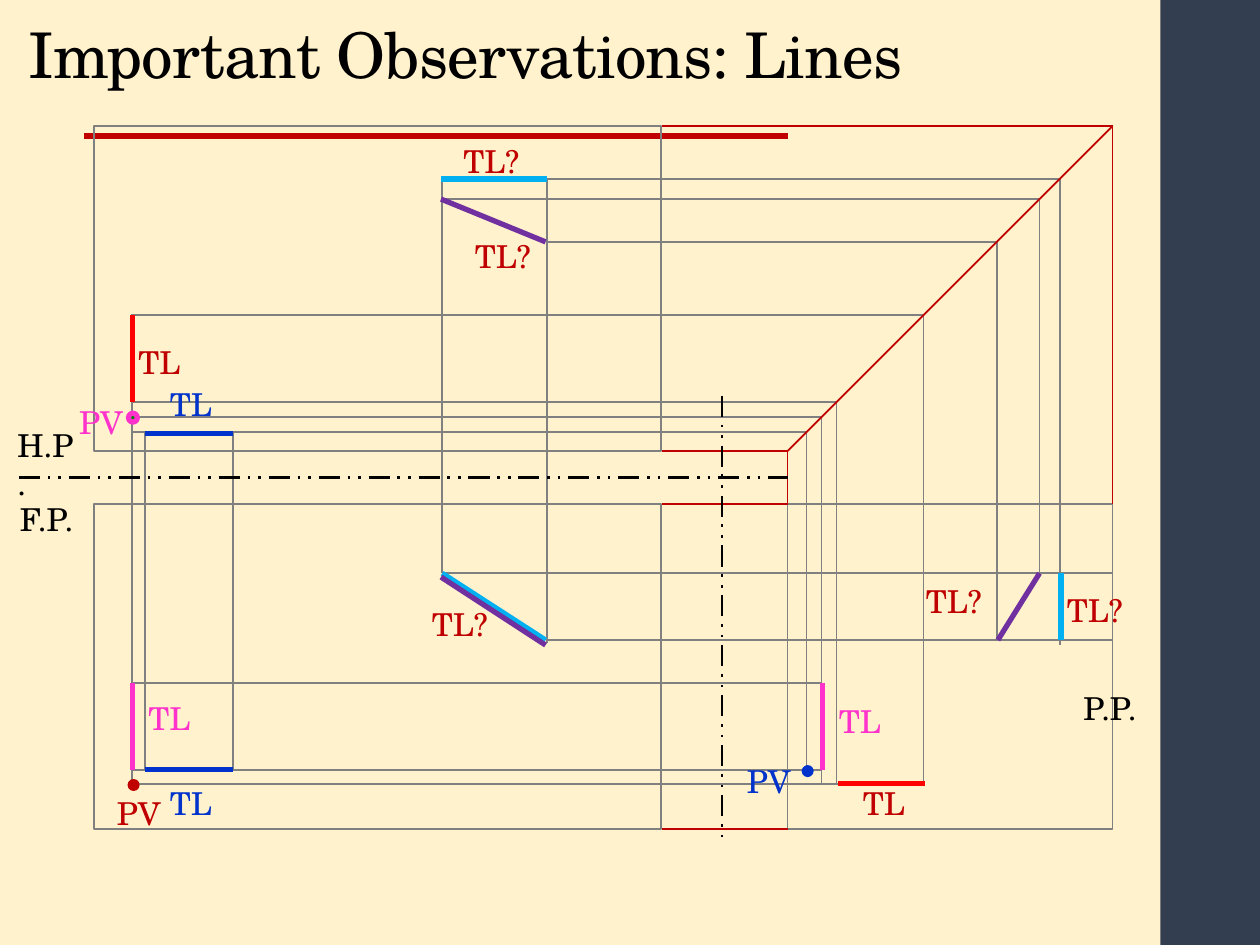
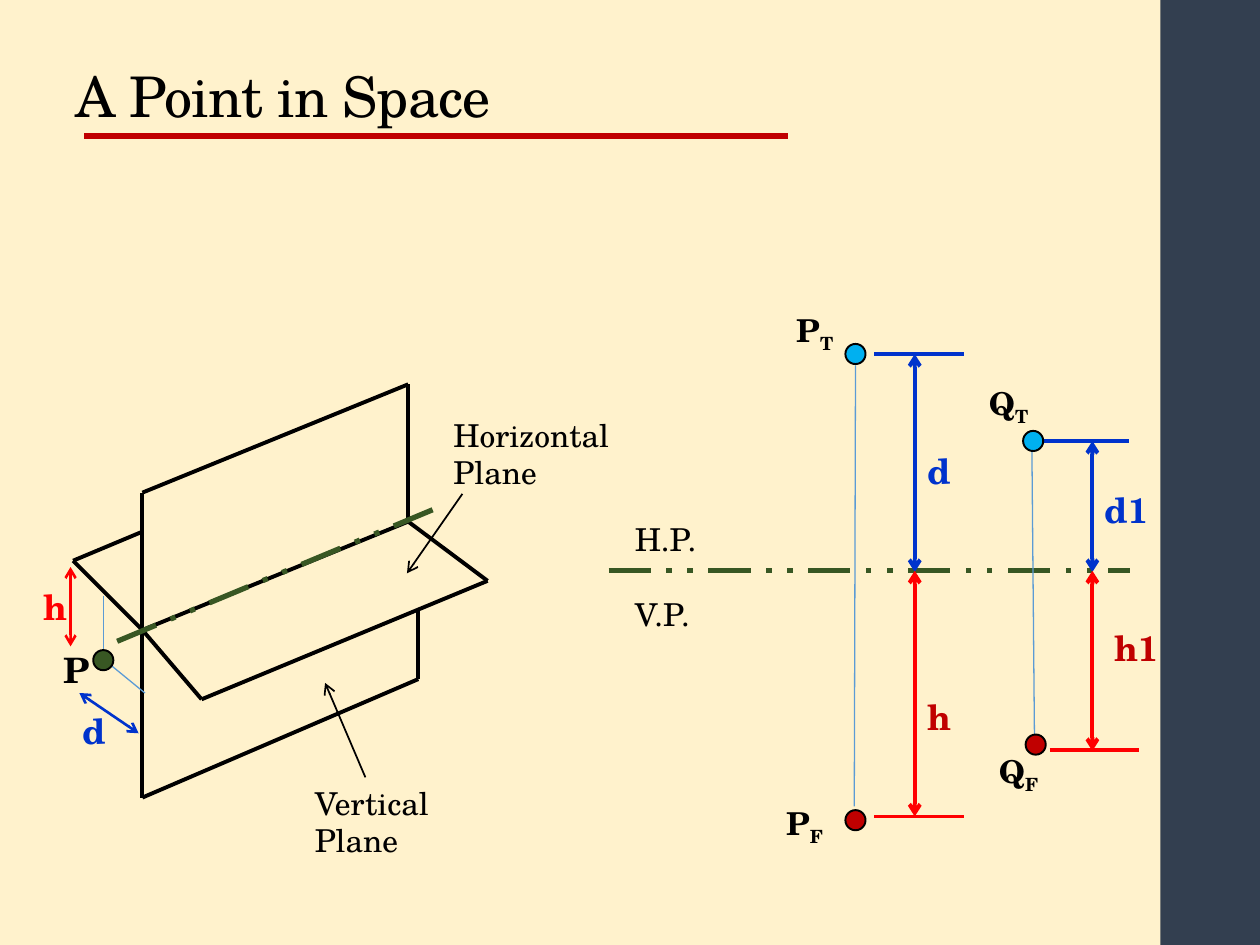
from lxml import etree
from pptx import Presentation
from pptx.dml.color import RGBColor
from pptx.enum.dml import MSO_LINE
from pptx.enum.shapes import MSO_CONNECTOR, MSO_SHAPE
from pptx.enum.text import MSO_ANCHOR, MSO_AUTO_SIZE
from pptx.oxml.ns import qn
from pptx.util import Inches, Pt

CREAM = RGBColor(0xFF, 0xF2, 0xCC)
SLATE = RGBColor(0x33, 0x3F, 0x50)
MAROON = RGBColor(0xC0, 0x00, 0x00)
RED = RGBColor(0xFF, 0x00, 0x00)
GRAY = RGBColor(0x80, 0x80, 0x80)
BLACK = RGBColor(0x00, 0x00, 0x00)
BLUE = RGBColor(0x00, 0x33, 0xCC)
SKY = RGBColor(0x00, 0xB0, 0xF0)
STEEL = RGBColor(0x5B, 0x9B, 0xD5)
PINK = RGBColor(0xFF, 0x33, 0xCC)
PURPLE = RGBColor(0x70, 0x30, 0xA0)
GREEN = RGBColor(0x00, 0x80, 0x00)
FOREST = RGBColor(0x38, 0x57, 0x23)

FONT = "TeX Gyre Schola"
STRAIGHT = MSO_CONNECTOR.STRAIGHT
RECT = MSO_SHAPE.RECTANGLE
OVAL = MSO_SHAPE.OVAL
POINT = MSO_SHAPE.FLOWCHART_CONNECTOR
DASH = MSO_LINE.DASH_DOT_DOT
BOTTOM = MSO_ANCHOR.BOTTOM
GROW = MSO_AUTO_SIZE.SHAPE_TO_FIT_TEXT
FIXED = MSO_AUTO_SIZE.NONE


class Deck:
    def __init__(self):
        self.file = Presentation()
        self.file.slide_width = Inches(10)
        self.file.slide_height = Inches(7.5)
        self.slide = None

    def page(self):
        self.slide = self.file.slides.add_slide(self.file.slide_layouts[6])
        fill = self.slide.background.fill
        fill.solid()
        fill.fore_color.rgb = CREAM
        self.shape(RECT, 9.21, 0, 0.8, 7.5, fill=SLATE)
        self.line(0.67, 1.08, 6.25, 1.08, MAROON, 3)

    def shape(self, kind, left, top, width, height, fill=None, edge=None, weight=1.1):
        item = self.slide.shapes.add_shape(
            kind, Inches(left), Inches(top), Inches(width), Inches(height))
        item.shadow.inherit = False
        if fill is None:
            item.fill.background()
        else:
            item.fill.solid()
            item.fill.fore_color.rgb = fill
        if edge is None:
            item.line.fill.background()
        else:
            item.line.color.rgb = edge
            item.line.width = Pt(weight)

    def line(self, x1, y1, x2, y2, color, weight=1, dash=None, ends=()):
        item = self.slide.shapes.add_connector(
            STRAIGHT, Inches(x1), Inches(y1), Inches(x2), Inches(y2))
        item.line.color.rgb = color
        item.line.width = Pt(weight)
        if dash is not None:
            item.line.dash_style = dash
        props = item._element.spPr
        for end in ends:
            etree.SubElement(props.find(qn("a:ln")), qn("a:" + end), type="arrow")
        etree.SubElement(props, qn("a:effectLst"))

    def arrow(self, x1, y1, x2, y2, color, weight):
        self.line(x1, y1, x2, y2, color, weight, ends=("headEnd", "tailEnd"))

    def text(self, words, left, top, width, color=BLACK, size=18, bold=False,
             height=0.4, sub=None):
        box = self.slide.shapes.add_textbox(
            Inches(left), Inches(top), Inches(width), Inches(height))
        frame = box.text_frame
        frame.word_wrap = True
        frame.auto_size = GROW
        frame.text = words
        para = frame.paragraphs[0]
        if sub:
            low = para.add_run()
            low.text = sub
            low._r.get_or_add_rPr().set("baseline", "-25000")
        for run in para.runs:
            run.font.name = FONT
            run.font.size = Pt(size)
            run.font.bold = bold
            run.font.color.rgb = color
        return frame

    def title(self, words, left, top, width, height, size):
        frame = self.text(words, left, top, width, size=size, height=height)
        frame.auto_size = FIXED
        frame.vertical_anchor = BOTTOM
        para = frame.paragraphs[0]
        para.line_spacing = 0.9
        para.runs[0]._r.get_or_add_rPr().set("spc", "-50")


def draw_lines(deck):
    deck.page()
    left, mid, fold, right = 0.75, 5.25, 6.25, 8.83
    top, side = 1, 2.58
    base, front = top + side, 4

    for y, start, end in [(1.42, 4.33, 5.12), (1.58, 3.51, 4.55), (1.92, 4.33, 5.08),
                          (2.5, 1.04, 6.22), (3.19, 1.04, 6.22), (3.31, 1.05, 6.22),
                          (3.43, 1.05, 6.11)]:
        turn = fold + base - y
        deck.line(start, y, turn, y, GRAY)
        deck.line(turn, y, turn, end, GRAY)
    for x, start, end in [(3.51, 1.42, 4.55), (4.34, 1.42, 5.1), (1.05, 3.19, 6.22),
                          (1.15, 3.43, 6.11), (1.85, 3.44, 6.11)]:
        deck.line(x, start, x, end, GRAY)
    for y, start, end in [(4.55, 3.51, right), (5.08, 4.33, right), (5.42, 1.04, 6.52),
                          (6.11, 1.04, 6.52), (6.22, 1.06, 6.65)]:
        deck.line(start, y, end, y, GRAY)

    for x, y, width in [(left, front, mid - left), (left, top, mid - left),
                        (fold, front, side)]:
        deck.shape(RECT, x, y, width, side, edge=GRAY)
    for y, end in [(top, right), (base, fold), (front, fold), (front + side, fold)]:
        deck.line(mid, y, end, y, MAROON)
    deck.line(fold, base, fold, front, MAROON)
    deck.line(right, top, right, front, MAROON)
    deck.line(right, top, fold, base, MAROON)
    deck.line(0.15, 3.79, fold, 3.79, BLACK, 1.5, DASH)
    deck.line(5.73, 3.14, 5.73, 6.64, BLACK, 1.5, DASH)

    for x1, y1, x2, y2, color in [
        (1.05, 2.5, 1.05, 3.19, RED), (7.34, 6.22, 6.65, 6.22, RED),
        (1.05, 5.42, 1.05, 6.11, PINK), (6.53, 6.11, 6.53, 5.42, PINK),
        (1.85, 6.11, 1.15, 6.11, BLUE), (1.85, 3.44, 1.15, 3.44, BLUE),
        (4.33, 5.08, 3.51, 4.55, SKY), (4.34, 1.42, 3.5, 1.42, SKY),
        (8.42, 5.08, 8.42, 4.55, SKY), (4.33, 1.92, 3.5, 1.58, PURPLE),
        (7.92, 5.08, 8.25, 4.55, PURPLE), (4.33, 5.12, 3.5, 4.58, PURPLE),
    ]:
        deck.line(x1, y1, x2, y2, color, 3)
    deck.shape(OVAL, 1.02, 6.19, 0.08, 0.08, MAROON, MAROON)
    deck.shape(OVAL, 6.37, 6.08, 0.08, 0.08, BLUE, BLUE)
    deck.shape(OVAL, 1.02, 3.28, 0.07, 0.07, GREEN, PINK, 3)

    deck.title("Important Observations: Lines", 0.13, 0.11, 9.75, 0.67, 36)
    for words, x, y, color in [
        ("TL", 1, 2.67, MAROON), ("TL", 1.08, 5.5, PINK), ("TL", 1.25, 6.17, BLUE),
        ("TL", 1.25, 3.01, BLUE), ("TL", 6.56, 5.52, PINK), ("TL", 6.75, 6.17, MAROON),
        ("PV", 0.83, 6.25, MAROON), ("PV", 0.53, 3.15, PINK), ("PV", 5.83, 6, BLUE),
    ]:
        deck.text(words, x, y, 0.58, color)
    for x, y in [(3.33, 4.75), (3.58, 1.08), (8.37, 4.64), (3.67, 1.83), (7.25, 4.57)]:
        deck.text("TL?", x, y, 0.8, MAROON)
    for words, x, y, width in [("H.P.", 0.04, 3.33, 0.67), ("F.P.", 0.06, 3.92, 1.28),
                               ("P.P.", 8.5, 5.42, 1.28)]:
        deck.text(words, x, y, width)


def draw_point(deck):
    deck.page()
    deck.title("A Point in Space", 0.5, 0.08, 7.95, 1, 32)

    deck.line(4.83, 4.53, 8.97, 4.53, FOREST, 3, DASH)
    for x, y, color in [(6.94, 2.81, BLUE), (6.94, 6.48, RED),
                        (8.25, 3.5, BLUE), (8.33, 5.95, RED)]:
        deck.line(x, y, x + 0.71, y, color, 2.25)
    for x, high, low in [(7.26, 2.81, 6.48), (8.67, 3.5, 5.96)]:
        deck.arrow(x, high, x, 4.54, BLUE, 2.25)
        deck.arrow(x, 4.53, x, low, RED, 2.25)

    for chain in [
        [(1.13, 5), (3.24, 4.14), (3.24, 3.05), (1.13, 3.91), (1.13, 6.33),
         (3.32, 5.39), (3.32, 4.84)],
        [(1.13, 4.22), (0.58, 4.45), (1.13, 5), (1.6, 5.55), (3.87, 4.61), (3.24, 4.14)],
    ]:
        for start, end in zip(chain, chain[1:]):
            deck.line(*start, *end, BLACK, 2.25)
    deck.line(3.67, 3.92, 3.23, 4.55, BLACK, ends=("tailEnd",))
    deck.line(2.9, 6.17, 2.58, 5.42, BLACK, ends=("tailEnd",))
    deck.line(0.93, 5.09, 3.52, 4.01, FOREST, 3, DASH)

    for x1, y1, x2, y2 in [(0.82, 4.73, 0.82, 5.23), (0.82, 5.23, 1.15, 5.5),
                           (6.79, 2.9, 6.78, 6.4), (8.19, 3.57, 8.21, 5.83)]:
        deck.line(x1, y1, x2, y2, STEEL, 0.75)
    for x, y, color in [(0.74, 5.16, FOREST), (6.71, 2.73, SKY), (6.71, 6.43, MAROON),
                        (8.12, 3.42, SKY), (8.14, 5.83, MAROON)]:
        deck.shape(POINT, x, y, 0.16, 0.16, color, BLACK)
    deck.arrow(0.63, 5.5, 1.1, 5.82, BLUE, 1.5)
    deck.arrow(0.56, 4.5, 0.56, 5.13, RED, 1.5)

    for words, x, y, width in [("H.P.", 4.94, 4.08, 0.87), ("V.P.", 4.94, 4.67, 1.28),
                               ("Vertical Plane", 2.4, 6.17, 1.67),
                               ("Horizontal Plane", 3.5, 3.25, 1.95)]:
        deck.text(words, x, y, width)
    for words, sub, x, y in [("P", "F", 6.14, 6.33), ("P", "T", 6.22, 2.42),
                             ("Q", "F", 7.83, 5.92), ("Q", "T", 7.75, 3)]:
        deck.text(words, x, y, 0.55, bold=True, sub=sub)
    for words, x, y, width, color in [
        ("d", 7.26, 3.52, 0.31, BLUE), ("h", 7.26, 5.47, 0.31, MAROON),
        ("P", 0.41, 5.1, 0.23, BLACK), ("d", 0.56, 5.58, 0.31, BLUE),
        ("h", 0.25, 4.6, 0.31, RED), ("d1", 8.67, 3.83, 0.83, BLUE),
        ("h1", 8.75, 4.92, 0.58, MAROON),
    ]:
        deck.text(words, x, y, width, color, 20, True, 0.44)


def main():
    deck = Deck()
    draw_lines(deck)
    draw_point(deck)
    deck.file.save("out.pptx")


if __name__ == "__main__":
    main()
